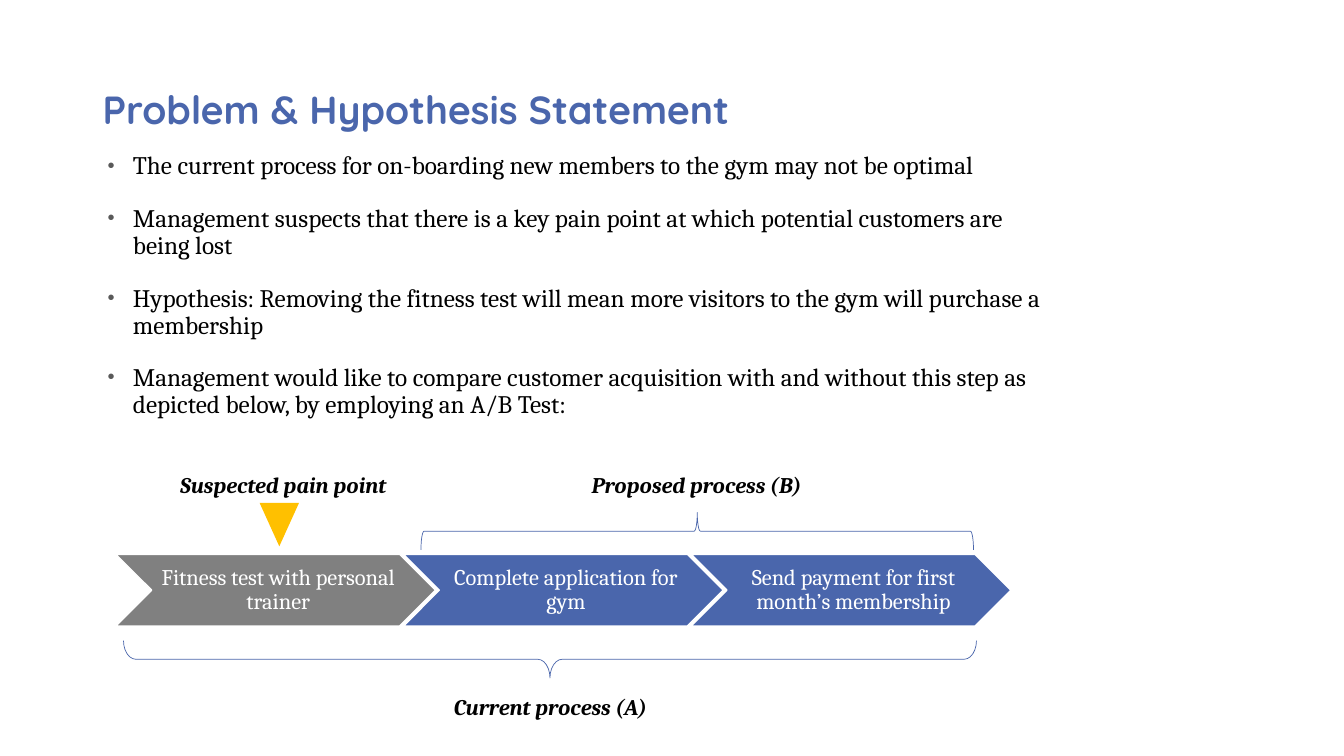
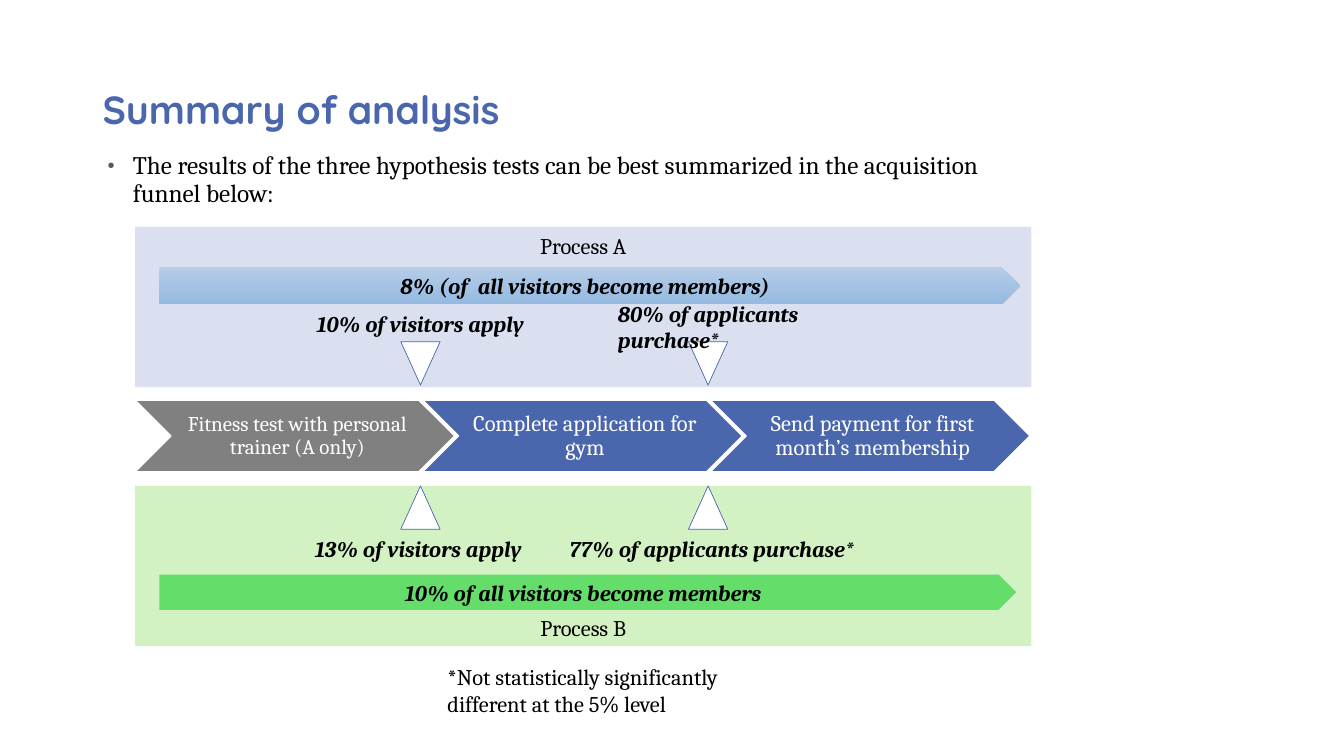
from lxml import etree
from pptx import Presentation
from pptx.dml.color import RGBColor
from pptx.enum.shapes import MSO_SHAPE
from pptx.enum.text import MSO_ANCHOR, PP_ALIGN
from pptx.oxml.ns import qn
from pptx.util import Inches, Pt

CHEVRON, TRIANGLE = MSO_SHAPE.CHEVRON, MSO_SHAPE.FLOWCHART_MERGE
BRACE, ARROW, PANEL = MSO_SHAPE.LEFT_BRACE, MSO_SHAPE.PENTAGON, MSO_SHAPE.RECTANGLE
TOP, MIDDLE, BOTTOM = MSO_ANCHOR.TOP, MSO_ANCHOR.MIDDLE, MSO_ANCHOR.BOTTOM
LEFT, CENTER = PP_ALIGN.LEFT, PP_ALIGN.CENTER

COLORS = {
    "blue": "4A66AC", "gray": "808080", "bullet": "595959", "amber": "FFC000",
    "black": "000000", "white": "FFFFFF", "panel_a": "DAE0EF", "panel_b": "D3F2C4",
    "arrow_top": "B4CCE7", "arrow_bottom": "96BAE1", "green": "65DD6B",
}
TITLE_FONT, BODY_FONT = "Quicksand", "Cambria"

# Content
PROBLEM = {
    "title": "Problem & Hypothesis Statement",
    "bullets": [
        "The current process for on-boarding new members to the gym may not be optimal",
        "Management suspects that there is a key pain point at which potential customers are being lost",
        "Hypothesis: Removing the fitness test will mean more visitors to the gym will purchase a membership",
        "Management would like to compare customer acquisition with and without this step as depicted below, by employing an A/B Test:",
    ],
    "steps": [("Fitness test with personal trainer", 16),
              ("Complete application for gym", 16),
              ("Send payment for first month’s membership", 16)],
    # text, centre, top
    "labels": [("Suspected pain point", 2.81, 4.62),
               ("Proposed process (B)", 6.91, 4.62),
               ("Current process (A)", 5.46, 6.82)],
    # left, top, width, height, rotation, curve
    "braces": [(6.73, 2.53, 0.37, 5.48, 90, None),
               (5.27, 2.31, 0.37, 8.46, 270, 0.33)],
}
SUMMARY = {
    "title": "Summary of analysis",
    "bullets": ["The results of the three hypothesis tests can be best summarized in the acquisition funnel below:"],
    "steps": [("Fitness test with personal trainer (A only)", 15)] + PROBLEM["steps"][1:],
    "labels": [("10% of visitors apply", 4.17, 3.02),
               ("13% of visitors apply", 4.15, 5.26),
               ("77% of applicants purchase*", 7.06, 5.26)],
    # text, top, anchor, colour
    "panels": [("Process B", 4.82, BOTTOM, "panel_b"),
               ("Process A", 2.25, TOP, "panel_a")],
    # text, top, width, height, colours
    "arrows": [("8% (of  all visitors become members)", 2.65, 8.54, 0.37, ("arrow_top", "arrow_bottom")),
               ("10% of all visitors become members", 5.7, 8.5, 0.35, ("green",))],
    # top, rotation
    "pointers": [(3.39, 0), (4.82, 180)],
    "wrapped_label": "80% of applicants purchase*",
    "footnote": "*Not statistically significantly different at the 5% level",
}

STEP_WIDTH, STEP_HEIGHT = 3.17, 0.71
STEP_PITCH = STEP_WIDTH * 0.9
POINTER_WIDTH, POINTER_HEIGHT = 0.39, 0.43
LABEL_WIDTH, LABEL_HEIGHT = 3.2, 0.37


def rgb(name):
    return RGBColor.from_string(COLORS[name])


def add_bullet(paragraph):
    props = paragraph._p.get_or_add_pPr()
    props.set("marL", str(Inches(0.3)))
    props.set("indent", str(Inches(-0.25)))
    color = etree.SubElement(props, qn("a:buClr"))
    etree.SubElement(color, qn("a:srgbClr"), val=COLORS["bullet"])
    etree.SubElement(props, qn("a:buSzPct"), val="80000")
    etree.SubElement(props, qn("a:buFont"), typeface="Arial")
    etree.SubElement(props, qn("a:buChar"), char="•")


def write(shape, *texts, size=16, font=BODY_FONT, color="black", bold=False, italic=False,
          align=CENTER, anchor=MIDDLE, spacing=1.0, before=0, bullet=False, insets=None):
    frame = shape.text_frame
    frame.word_wrap = True
    frame.vertical_anchor = anchor
    if insets:
        (frame.margin_left, frame.margin_top,
         frame.margin_right, frame.margin_bottom) = map(Inches, insets)
    for i, text in enumerate(texts):
        paragraph = frame.add_paragraph() if i else frame.paragraphs[0]
        paragraph.alignment = align
        paragraph.line_spacing = spacing
        paragraph.space_before = Pt(before)
        if bullet:
            add_bullet(paragraph)
        run = paragraph.add_run()
        run.text = text
        run.font.size, run.font.name = Pt(size), font
        run.font.bold, run.font.italic = bold, italic
        run.font.color.rgb = rgb(color)


def add_box(slide, left, top, width, height, *texts, **style):
    box = slide.shapes.add_textbox(Inches(left), Inches(top), Inches(width), Inches(height))
    write(box, *texts, **style)


def add_figure(slide, kind, left, top, width, height, fills=(), line=None, weight=0.5, rotation=0):
    figure = slide.shapes.add_shape(kind, Inches(left), Inches(top), Inches(width), Inches(height))
    figure.shadow.inherit = False
    figure.rotation = rotation
    if len(fills) == 2:
        figure.fill.gradient()
        figure.fill.gradient_angle = 270
        for stop, name in zip(figure.fill.gradient_stops, fills):
            stop.color.rgb = rgb(name)
    elif fills:
        figure.fill.solid()
        figure.fill.fore_color.rgb = rgb(fills[0])
    else:
        figure.fill.background()
    if line:
        figure.line.color.rgb = rgb(line)
        figure.line.width = Pt(weight)
    else:
        figure.line.fill.background()
    return figure


def add_pointer(slide, center, top, fill, line=None, rotation=0):
    add_figure(slide, TRIANGLE, center - POINTER_WIDTH / 2, top, POINTER_WIDTH, POINTER_HEIGHT,
               [fill], line, rotation=rotation)


def start_slide(prs, content, body_height):
    slide = prs.slides.add_slide(prs.slide_layouts[6])
    add_box(slide, 0.92, 0.54, 9.5, 1.17, content["title"], size=28, font=TITLE_FONT,
            color="blue", bold=True, align=LEFT, spacing=0.8)
    add_box(slide, 0.92, 1.47, 9.5, body_height, *content["bullets"], size=18,
            align=LEFT, anchor=TOP, spacing=0.9, before=18, bullet=True)
    return slide


def add_steps(slide, steps, left, top):
    for i, (text, size) in enumerate(steps):
        step = add_figure(slide, CHEVRON, left + i * STEP_PITCH, top, STEP_WIDTH, STEP_HEIGHT,
                          ["blue" if i else "gray"], "white", 1)
        write(step, text, size=size, color="white", spacing=0.9,
              insets=(0.07, 0.02, 0.02, 0.02))


def add_labels(slide, labels):
    for text, center, top in labels:
        add_box(slide, center - LABEL_WIDTH / 2, top, LABEL_WIDTH, LABEL_HEIGHT, text,
                bold=True, italic=True)


def build_problem(prs):
    slide = start_slide(prs, PROBLEM, 2.22)
    add_steps(slide, PROBLEM["steps"], 1.15, 5.5)
    add_pointer(slide, 2.77, 4.99, "amber")
    for left, top, width, height, rotation, curve in PROBLEM["braces"]:
        brace = add_figure(slide, BRACE, left, top, width, height, line="blue", rotation=rotation)
        if curve:
            brace.adjustments[0] = curve
    add_labels(slide, PROBLEM["labels"])


def build_summary(prs):
    slide = start_slide(prs, SUMMARY, 0.89)
    # Panels behind the funnel
    for text, top, anchor, color in SUMMARY["panels"]:
        write(add_figure(slide, PANEL, 1.34, top, 8.89, 1.59, [color]), text, anchor=anchor)
    add_steps(slide, SUMMARY["steps"], 1.34, 3.97)
    # Pointers at the two step boundaries
    for top, rotation in SUMMARY["pointers"]:
        for i in range(2):
            add_pointer(slide, 4.17 + i * STEP_PITCH, top, "white", "blue", rotation)
    add_labels(slide, SUMMARY["labels"])
    add_box(slide, 6.03, 2.92, 2.1, 0.64, SUMMARY["wrapped_label"],
            bold=True, italic=True, align=LEFT)
    # Overall conversion
    for text, top, width, height, fills in SUMMARY["arrows"]:
        write(add_figure(slide, ARROW, 1.58, top, width, height, fills), text,
              bold=True, italic=True)
    add_box(slide, 4.34, 6.53, 3, 0.64, SUMMARY["footnote"], align=LEFT)


def main():
    prs = Presentation()
    prs.slide_width, prs.slide_height = Inches(13.33), Inches(7.5)
    build_problem(prs)
    build_summary(prs)
    prs.save("out.pptx")


if __name__ == "__main__":
    main()
